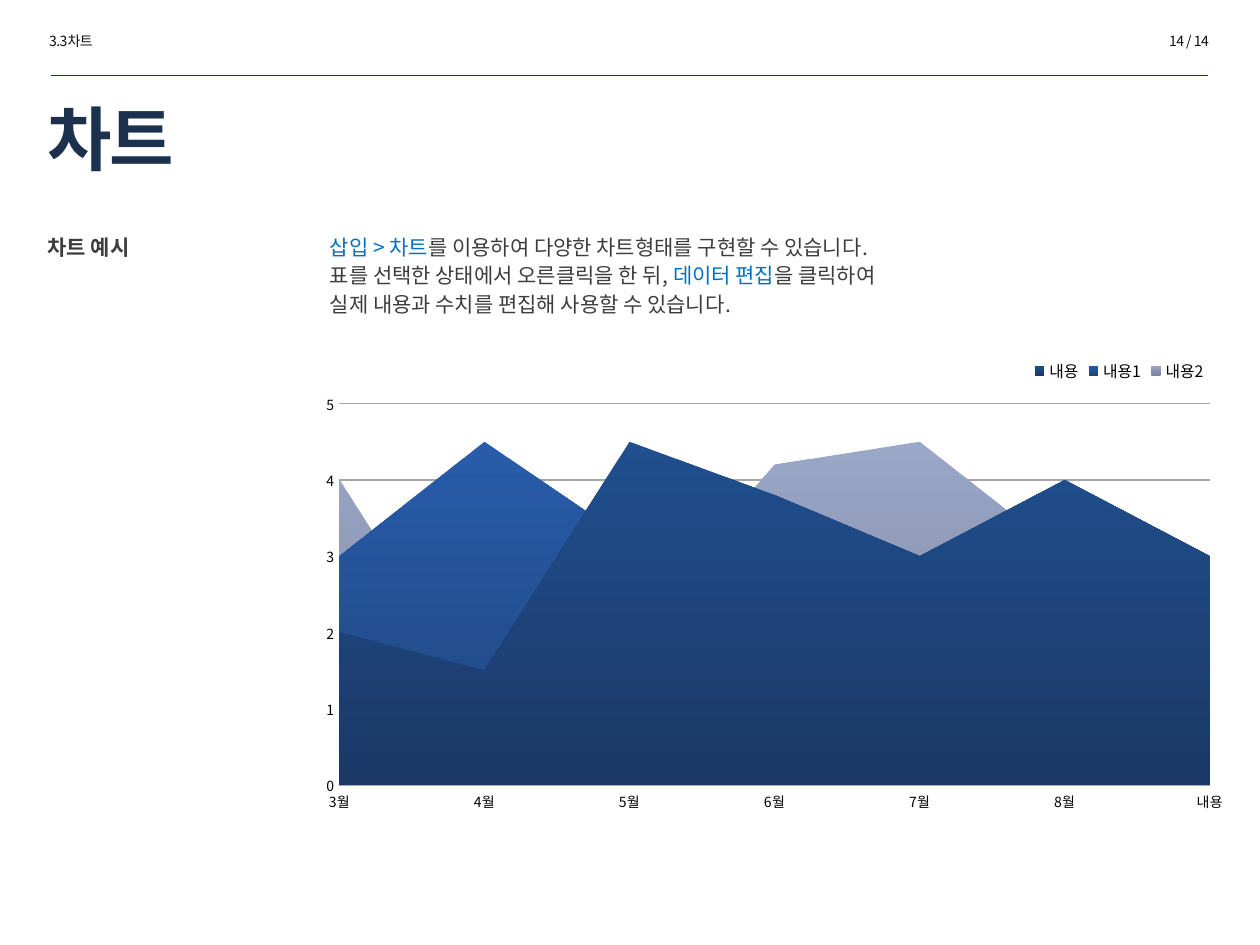
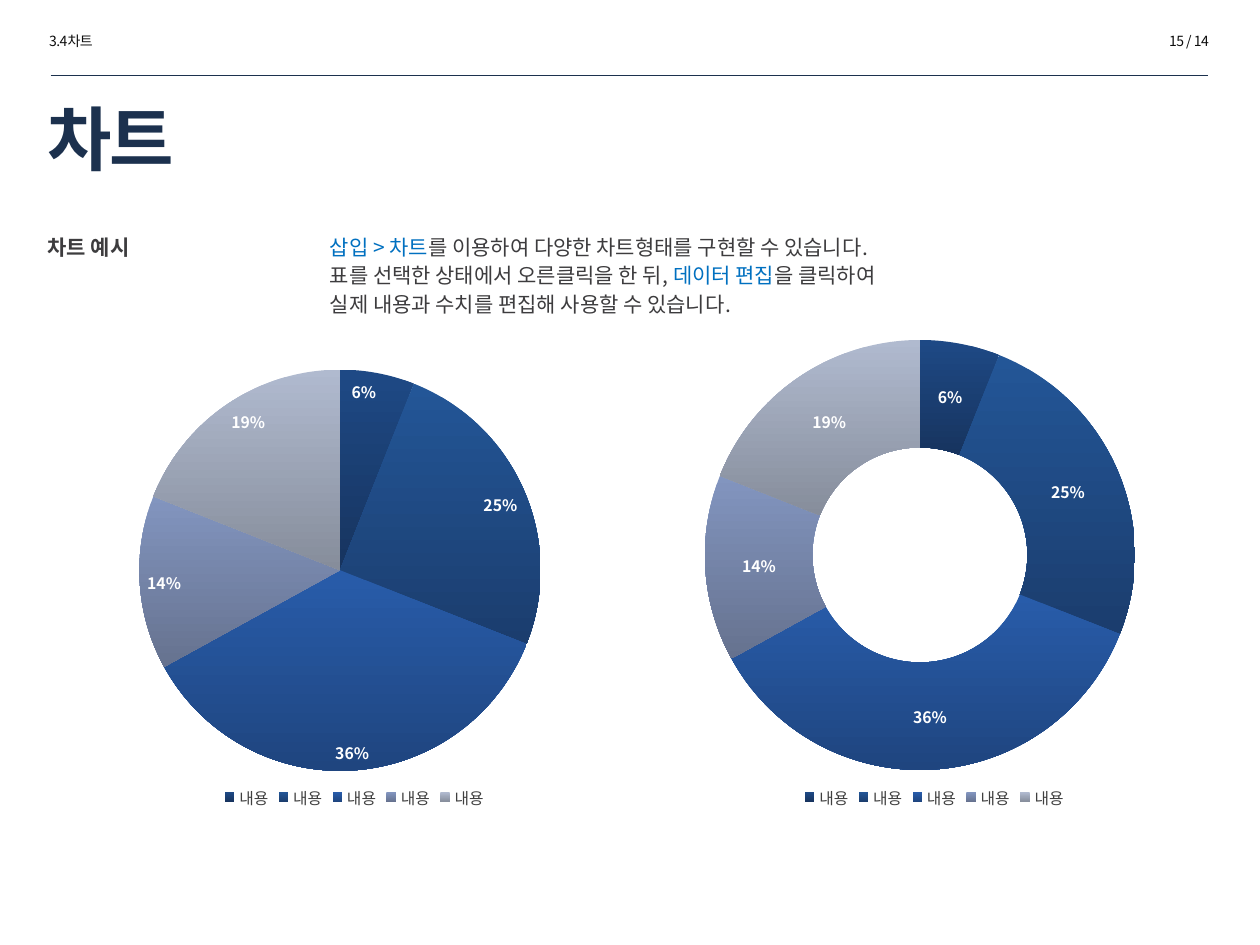
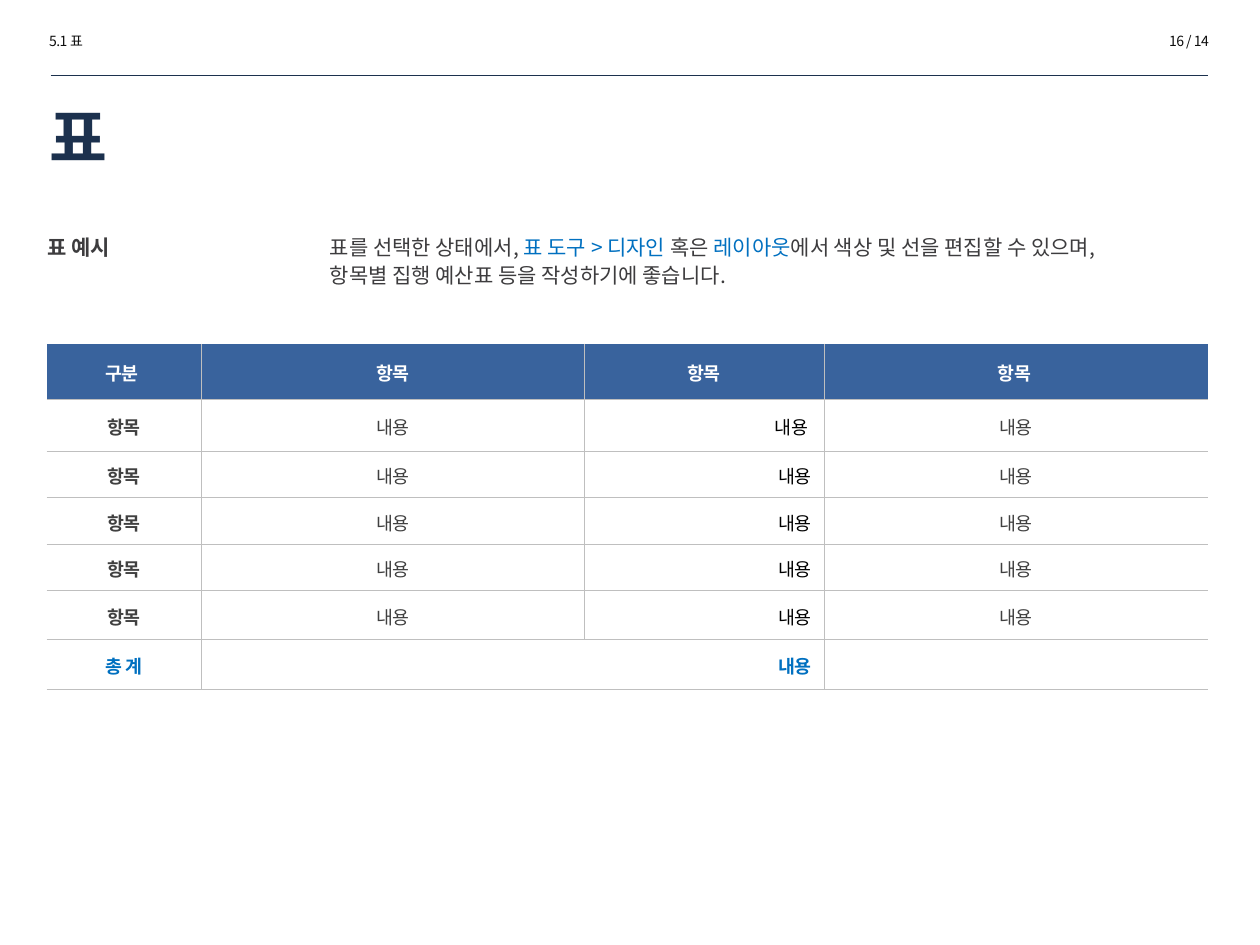
"""Build three guide slides: an area chart, a pie and doughnut pair, and a budget table."""
from copy import deepcopy
from dataclasses import dataclass

from lxml.etree import SubElement
from pptx import Presentation
from pptx.chart.data import CategoryChartData
from pptx.dml.color import RGBColor
from pptx.enum.chart import XL_CHART_TYPE, XL_LABEL_POSITION, XL_LEGEND_POSITION, XL_TICK_MARK
from pptx.enum.shapes import MSO_CONNECTOR
from pptx.enum.text import MSO_ANCHOR, MSO_AUTO_SIZE, PP_ALIGN
from pptx.oxml.ns import qn
from pptx.util import Cm, Pt


@dataclass(frozen=True)
class Theme:
    font: str = "Noto Sans CJK KR"
    navy: str = "1C314E"
    blue: str = "39639D"
    accent: str = "0070C0"
    body: str = "3D3C3E"
    cell: str = "404040"
    ink: str = "0D0D0D"
    black: str = "000000"
    white: str = "FFFFFF"
    border: str = "BFBFBF"
    grid: str = "A6A6A6"
    small: float = 8
    legend: float = 9
    table: float = 10.5
    text: float = 12
    leading: float = 16.5


THEME = Theme()

CHART_GUIDE = [
    [("삽입 > 차트", THEME.accent), ("를 이용하여 다양한 차트형태를 구현할 수 있습니다.", THEME.body)],
    [("표를 선택한 상태에서 오른클릭을 한 뒤, ", THEME.body), ("데이터 편집", THEME.accent),
     ("을 클릭하여", THEME.body)],
    [("실제 내용과 수치를 편집해 사용할 수 있습니다.", THEME.body)],
]
TABLE_GUIDE = [
    [("표를 선택한 상태에서, ", THEME.body), ("표 도구 > 디자인 ", THEME.accent), ("혹은 ", THEME.body),
     ("레이아웃", THEME.accent), ("에서 색상 및 선을 편집할 수 있으며,", THEME.body)],
    [("항목별 집행 예산표 등을 작성하기에 좋습니다.", THEME.body)],
]

MONTHS = ["3월", "4월", "5월", "6월", "7월", "8월", "내용"]
AREA_SERIES = {
    "내용": [2, 1.5, 4.5, 3.8, 3, 4, 3],
    "내용1": [3, 4.5, 3.2, 3.8, 3, 2.5, 1],
    "내용2": [4, 1, 2, 4.2, 4.5, 3, 2],
}
AREA_SHADES = [("204F8E", "1B3866"), ("285CAA", "1F457F"), ("9BA7C6", "78839E")]
SHARES = [6, 25, 36, 14, 19]
SHARE_SHADES = [("1E4985", "17345F"), ("235697", "1B3D6E"), ("285CAA", "1F457F"),
                ("8295BF", "66728F"), ("B0BACF", "868D9B")]
ROUND_CHARTS = [
    (XL_CHART_TYPE.PIE, 0.48, (0.18, 0.09, 0.64, 0.79)),
    (XL_CHART_TYPE.DOUGHNUT, 12.17, (0.16, 0.03, 0.68, 0.85)),
]

TABLE_ROWS = [
    ["구분 ", "항목", "항목", "항목 "],
    ["항목", "내용", "내용 ", "내용"],
    *[["항목", "내용", "내용", "내용"]] * 4,
    ["총 계", "내용", "", ""],
]
COLUMN_WIDTHS = [3.12, 7.72, 4.83, 7.75]
ROW_HEIGHTS = [1.12, 1.04, 0.94, 0.94, 0.94, 0.97, 0.94]


def color(code):
    """Turn a hex code into a colour."""
    return RGBColor.from_string(code)


def style_font(font, size, shade, bold=False):
    """Apply the theme typeface with a size, colour and weight."""
    font.name = THEME.font
    font.size = Pt(size)
    font.bold = bold
    font.color.rgb = color(shade)


def write(para, text, size=THEME.text, shade=THEME.body, bold=False, tracking=0,
          align=PP_ALIGN.LEFT, leading=None):
    """Append a formatted span to a paragraph."""
    para.alignment = align
    if leading:
        para.line_spacing = leading
    span = para.add_run()
    span.text = text
    style_font(span.font, size, shade, bold)
    if tracking:
        span._r.get_or_add_rPr().set("spc", str(int(tracking * 100)))


def add_text(page, lines, left, top, width, height, **style):
    """Add a wrapping text box with one paragraph per list of spans."""
    box = page.shapes.add_textbox(Cm(left), Cm(top), Cm(width), Cm(height))
    frame = box.text_frame
    frame.word_wrap = True
    for number, spans in enumerate(lines):
        para = frame.add_paragraph() if number else frame.paragraphs[0]
        for text, shade in spans:
            write(para, text, shade=shade, **style)


def add_header(page, section, number):
    """Add the section name, page count and rule."""
    for text, left, align in [(section, 0.74, PP_ALIGN.LEFT), (f"{number} / 14", 20.22, PP_ALIGN.RIGHT)]:
        add_text(page, [[(text, THEME.ink)]], left, 0.53, 4.4, 0.61,
                 size=THEME.small, tracking=-0.3, align=align)
    rule = page.shapes.add_connector(MSO_CONNECTOR.STRAIGHT, Cm(1.02), Cm(1.52), Cm(24.36), Cm(1.52))
    rule.line.color.rgb = color(THEME.navy)
    rule.line.width = Pt(0.25)
    SubElement(rule._element.spPr, qn("a:effectLst"))


def add_title(page, text, size, left, top, width, height):
    """Place and format the title placeholder."""
    title = page.shapes.title
    title.left, title.top, title.width, title.height = map(Cm, (left, top, width, height))
    frame = title.text_frame
    frame.auto_size = MSO_AUTO_SIZE.NONE
    frame.vertical_anchor = MSO_ANCHOR.MIDDLE
    write(frame.paragraphs[0], text, size=size, shade=THEME.navy, bold=True, tracking=-1.5)


def set_layout(parent, index, inner=False, **fractions):
    """Give a chart part a manual layout in fractions of the chart."""
    for old in parent.findall(qn("c:layout")):
        parent.remove(old)
    layout = parent.makeelement(qn("c:layout"))
    parent.insert(index, layout)
    manual = SubElement(layout, qn("c:manualLayout"))
    if inner:
        SubElement(manual, qn("c:layoutTarget")).set("val", "inner")
    for side in "xy":
        SubElement(manual, qn(f"c:{side}Mode")).set("val", "edge")
    for name, value in fractions.items():
        SubElement(manual, qn(f"c:{name}")).set("val", str(value))


def shade_fill(fill, shades):
    """Fill from the first shade at the top to the second at the bottom."""
    fill.gradient()
    fill.gradient_angle = 270
    for stop, shade in zip(fill.gradient_stops, shades):
        stop.color.rgb = color(shade)


def add_chart(page, kind, categories, series, bounds, plot, legend_at, legend_shade, legend_side):
    """Add a chart with a placed plot and legend."""
    data = CategoryChartData()
    data.categories = categories
    for name, values in series.items():
        data.add_series(name, values)
    chart = page.shapes.add_chart(kind, *map(Cm, bounds), data).chart
    chart.has_title = False
    style_font(chart.font, 18, THEME.black)
    chart.has_legend = True
    chart.legend.position = legend_side
    chart.legend.include_in_layout = False
    style_font(chart.legend.font, THEME.legend, legend_shade)
    area = next(chart.element.iter(qn("c:plotArea")))
    set_layout(area, 0, inner=True, **dict(zip("xywh", plot)))
    set_layout(next(chart.element.iter(qn("c:legend"))), 1, **dict(zip("xy", legend_at)))
    return chart


def draw_area(page):
    """Draw the monthly area chart."""
    chart = add_chart(page, XL_CHART_TYPE.AREA, MONTHS, AREA_SERIES, (5.23, 4.29, 20.17, 14.25),
                      (0.08, 0.27, 0.87, 0.54), (0.77, 0.2), THEME.black, XL_LEGEND_POSITION.TOP)
    for series, shades in zip(chart.plots[0].series, AREA_SHADES):
        shade_fill(series.format.fill, shades)
    months, scale = chart.category_axis, chart.value_axis
    for axis in (months, scale):
        style_font(axis.tick_labels.font, THEME.small, THEME.black)
        axis.minor_tick_mark = XL_TICK_MARK.NONE
    months.major_tick_mark = XL_TICK_MARK.NONE
    months.format.line.color.rgb = color(THEME.grid)
    scale.major_tick_mark = XL_TICK_MARK.INSIDE
    scale.minimum_scale, scale.maximum_scale, scale.major_unit = 0, 5, 1
    scale.tick_labels.number_format = "General"
    scale.tick_labels.number_format_is_linked = False
    scale.format.line.fill.background()
    scale.has_major_gridlines = True
    scale.major_gridlines.format.line.color.rgb = color(THEME.grid)
    scale.major_gridlines.format.line.width = Pt(0.75)
    for crossing in chart.element.iter(qn("c:crossBetween")):
        crossing.set("val", "midCat")


def draw_shares(page):
    """Draw the pie and the doughnut with the same shares."""
    for kind, left, plot in ROUND_CHARTS:
        chart = add_chart(page, kind, ["내용"] * len(SHARES), {"Series 1": SHARES},
                          (left, 6.53, 12.75, 10.24), plot, (0.31, 0.9), THEME.cell,
                          XL_LEGEND_POSITION.BOTTOM)
        group = chart.plots[0]
        group.vary_by_categories = True
        for number, shades in enumerate(SHARE_SHADES):
            shade_fill(group.series[0].points[number].format.fill, shades)
        group.has_data_labels = True
        labels = group.data_labels
        labels.show_percentage, labels.show_value = True, False
        labels.number_format, labels.number_format_is_linked = "0%", False
        style_font(labels.font, THEME.legend, THEME.white, bold=True)
        if kind == XL_CHART_TYPE.PIE:
            labels.position = XL_LABEL_POSITION.INSIDE_END


def set_borders(cell, visible):
    """Draw the visible sides of a cell and clear the others."""
    properties = cell._tc.get_or_add_tcPr()
    for position, side in enumerate("LRTB"):
        line = properties.makeelement(qn(f"a:ln{side}"), {"w": str(Pt(0.5))})
        properties.insert(position, line)
        if side in visible:
            fill = SubElement(line, qn("a:solidFill"))
            SubElement(fill, qn("a:srgbClr")).set("val", THEME.border)
        else:
            SubElement(line, qn("a:noFill"))


def draw_table(page):
    """Draw the budget table with its merged total."""
    last_row, last_column = len(ROW_HEIGHTS) - 1, len(COLUMN_WIDTHS) - 1
    table = page.shapes.add_table(last_row + 1, last_column + 1, Cm(0.94), Cm(6.93),
                                  Cm(sum(COLUMN_WIDTHS)), Cm(sum(ROW_HEIGHTS))).table
    table.first_row = table.horz_banding = False
    for column, width in zip(table.columns, COLUMN_WIDTHS):
        column.width = Cm(width)
    for row, height in zip(table.rows, ROW_HEIGHTS):
        row.height = Cm(height)
    table.cell(last_row, 1).merge(table.cell(last_row, 2))
    for r, texts in enumerate(TABLE_ROWS):
        for c, text in enumerate(texts):
            cell = table.cell(r, c)
            cell.vertical_anchor = MSO_ANCHOR.MIDDLE
            if r == 0:
                cell.fill.solid()
                cell.fill.fore_color.rgb = color(THEME.blue)
                shade = THEME.white
            else:
                cell.fill.background()
                shade = THEME.accent if r == last_row else THEME.black if c == 2 else THEME.cell
            set_borders(cell, "B" + "T" * (r > 0) + "L" * (c > 0) + "R" * (c < last_column))
            amount = (r > 0 and c == 2) or (r == last_row and c == 1)
            if text:
                write(cell.text_frame.paragraphs[0], text, size=THEME.table, shade=shade,
                      bold=c == 0 or r in (0, last_row), tracking=-0.3, leading=1.1,
                      align=PP_ALIGN.RIGHT if amount else PP_ALIGN.CENTER)


def match_east_asian(root):
    """Use the Latin typeface for Korean text too."""
    for latin in list(root.iter(qn("a:latin"))):
        korean = deepcopy(latin)
        korean.tag = qn("a:ea")
        latin.addnext(korean)


CHART_TITLE = ("차트", 40, 0.71, 1.96, 19.43, 1.63)
TABLE_TITLE = ("표", 36, 0.74, 1.83, 23.55, 1.85)
PAGES = [
    ("3.3차트", CHART_TITLE, "차트 예시", CHART_GUIDE, draw_area),
    ("3.4차트", CHART_TITLE, "차트 예시", CHART_GUIDE, draw_shares),
    ("5.1 표", TABLE_TITLE, "표 예시", TABLE_GUIDE, draw_table),
]


def main():
    """Build and save the deck."""
    deck = Presentation()
    deck.slide_width, deck.slide_height = Cm(25.4), Cm(19.05)
    for number, (section, title, label, guide, draw) in enumerate(PAGES, start=14):
        page = deck.slides.add_slide(deck.slide_layouts[5])
        add_header(page, section, number)
        add_title(page, *title)
        draw(page)
        leading = Pt(THEME.leading)
        add_text(page, [[(label, THEME.body)]], 0.71, 4.52, 5.5, 2.4, bold=True, leading=leading)
        add_text(page, guide, 6.4, 4.52, 18.57, 2.4, leading=leading)
        match_east_asian(page.element)
        for shape in page.shapes:
            if shape.has_chart:
                match_east_asian(shape.chart.element)
    deck.save("out.pptx")


if __name__ == "__main__":
    main()
